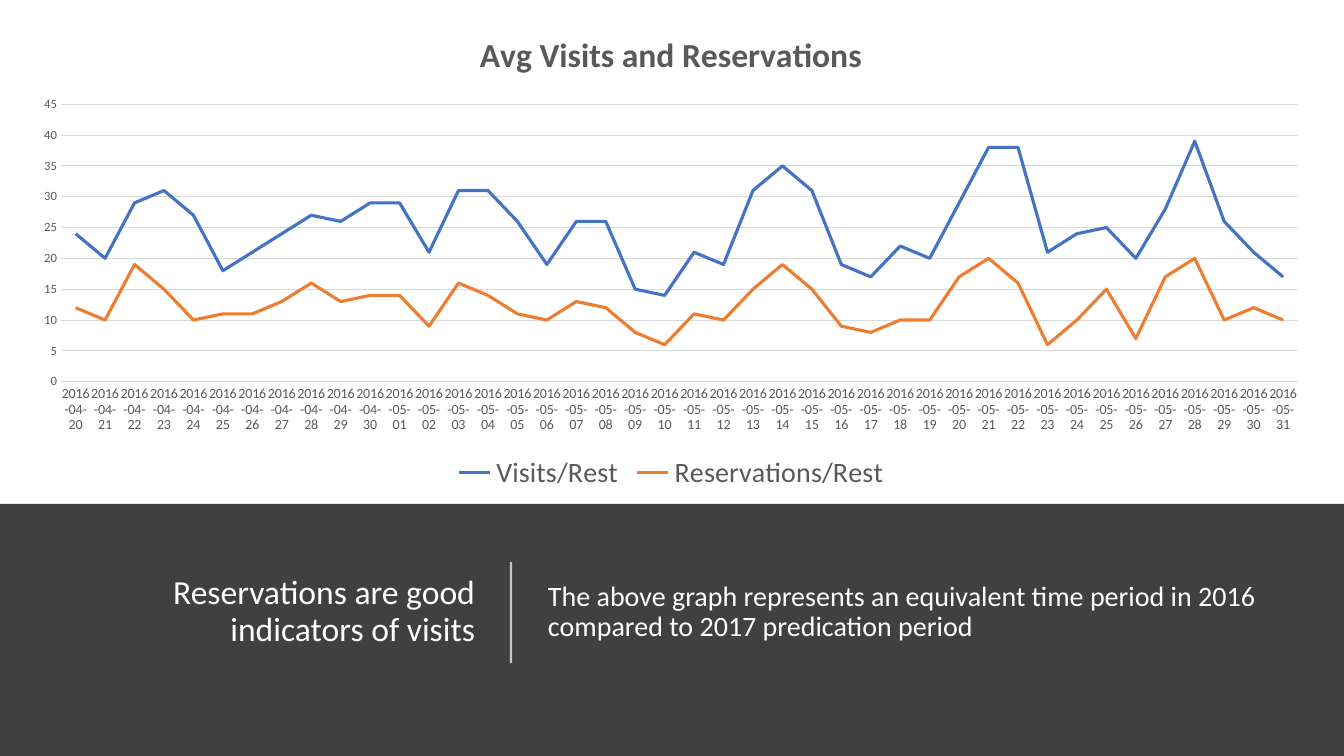
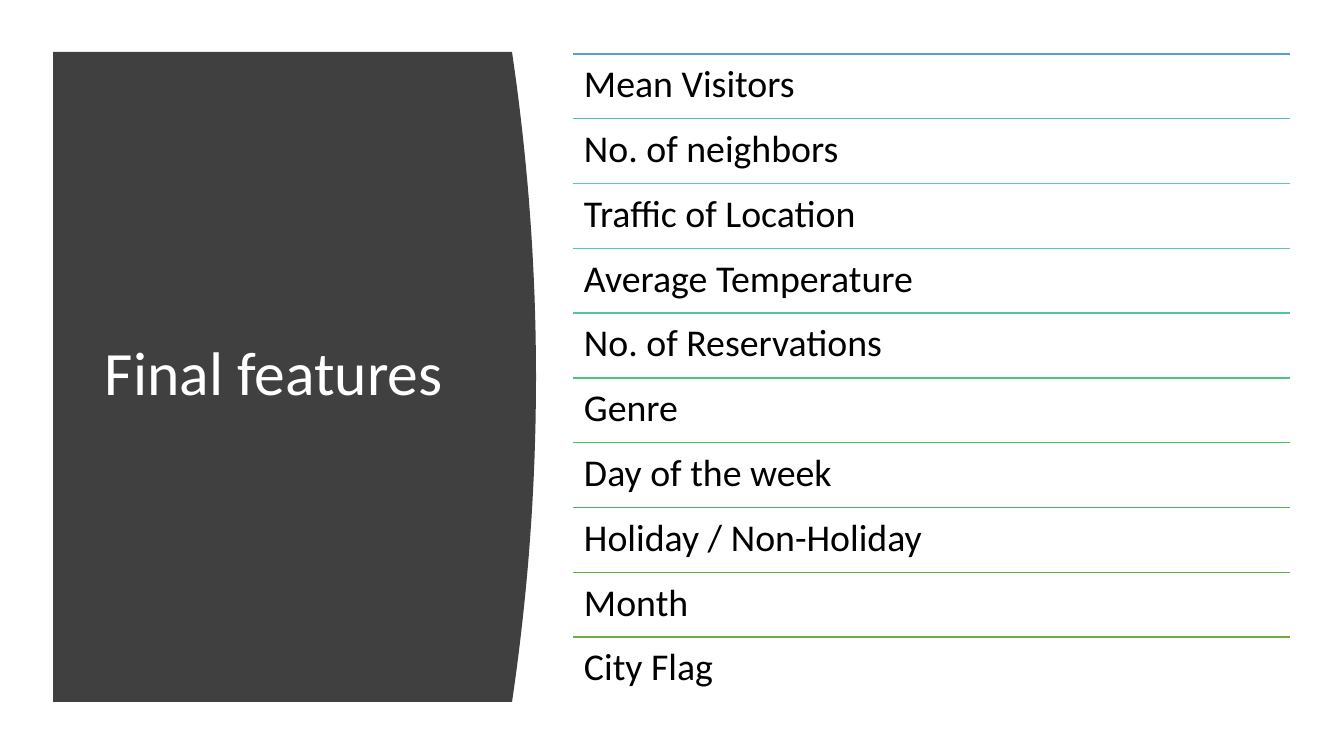
from pptx import Presentation
from pptx.chart.data import CategoryChartData
from pptx.dml.color import RGBColor
from pptx.enum.chart import XL_CHART_TYPE as ChartType, XL_LEGEND_POSITION as LegendPos, XL_TICK_MARK as Tick
from pptx.enum.shapes import MSO_CONNECTOR as Connector, MSO_SHAPE as Shape
from pptx.enum.text import MSO_ANCHOR as Anchor, PP_ALIGN as Align
from pptx.oxml.ns import qn
from pptx.util import Emu, Pt
from lxml.etree import SubElement

WIDTH, HEIGHT = 1344, 756
FONT = "Calibri"
WHITE, BLACK, CHARCOAL = "FFFFFF", "000000", "404040"
CHART_TEXT, CHART_LINE = "595959", "D9D9D9"

DATES = [f"2016-04-{day:02}" for day in range(20, 31)] + [f"2016-05-{day:02}" for day in range(1, 32)]
DAILY_AVERAGES = [
    ("Visits/Rest", "4472C4",
     [24, 20, 29, 31, 27, 18, 21, 24, 27, 26, 29, 29, 21, 31, 31, 26, 19, 26, 26, 15, 14,
      21, 19, 31, 35, 31, 19, 17, 22, 20, 29, 38, 38, 21, 24, 25, 20, 28, 39, 26, 21, 17]),
    ("Reservations/Rest", "ED7D31",
     [12, 10, 19, 15, 10, 11, 11, 13, 16, 13, 14, 14, 9, 16, 14, 11, 10, 13, 12, 8, 6,
      11, 10, 15, 19, 15, 9, 8, 10, 10, 17, 20, 16, 6, 10, 15, 7, 17, 20, 10, 12, 10]),
]
FEATURES = [
    ("Mean Visitors", "5B9BD5"),
    ("No. of neighbors", "58B1D2"),
    ("Traffic of Location", "55C7CE"),
    ("Average Temperature", "52CAB8"),
    ("No. of Reservations", "4FC79C"),
    ("Genre", "4CC37F"),
    ("Day of the week", "49BF64"),
    ("Holiday / Non-Holiday", "47BA49"),
    ("Month", "5CB447"),
    ("City Flag", "70AD47"),
]


def px(length):
    """Turn pixels into EMU."""
    return Emu(round(length * 914400 / 100.8))


def rgb(color):
    """Turn a hex string into a colour."""
    return RGBColor.from_string(color)


def style_font(font, size, color, bold=False):
    """Set face, size, colour and weight of a font."""
    font.name, font.size, font.bold = FONT, Pt(size), bold
    font.color.rgb = rgb(color)


def style_line(line, color, width):
    """Give a line a solid colour and a width in points."""
    line.color.rgb = rgb(color)
    line.width = Pt(width)


def fill_panel(panel):
    """Make a shape a flat charcoal panel."""
    panel.shadow.inherit = False
    panel.fill.solid()
    panel.fill.fore_color.rgb = rgb(CHARCOAL)
    panel.line.fill.background()


def add_text(slide, box, text, size, color=WHITE, align=Align.LEFT, anchor=Anchor.MIDDLE, inset=(10, 5)):
    """Add a wrapped one-paragraph text box."""
    frame = slide.shapes.add_textbox(*map(px, box)).text_frame
    frame.word_wrap = True
    frame.vertical_anchor = anchor
    frame.margin_left = frame.margin_right = px(inset[0])
    frame.margin_top = frame.margin_bottom = px(inset[1])
    frame.text = text
    paragraph = frame.paragraphs[0]
    paragraph.alignment = align
    paragraph.line_spacing = 0.9
    style_font(paragraph.runs[0].font, size, color)


def add_rule(slide, start, end, color, width, opacity=100):
    """Add a straight line without shadow."""
    rule = slide.shapes.add_connector(Connector.STRAIGHT, *map(px, start + end))
    style_line(rule.line, color, width)
    properties = rule._element.spPr
    SubElement(properties, qn("a:effectLst"))
    if opacity < 100:
        solid = next(properties.iter(qn("a:srgbClr")))
        SubElement(solid, qn("a:alpha")).set("val", str(opacity * 1000))


def add_curved_panel(slide, left, top, right, bottom, bulge, steps=40):
    """Add a panel whose right edge bows outwards."""
    edge = []
    for step in range(steps + 1):
        t = step / steps
        edge.append((px(right + bulge * 4 * t * (1 - t)), px(top + (bottom - top) * t)))
    outline = slide.shapes.build_freeform(px(left), px(top), scale=1.0)
    outline.add_line_segments(edge + [(px(left), px(bottom))], close=True)
    fill_panel(outline.convert_to_shape())


def add_line_chart(slide, box, title):
    """Add the chart of daily averages."""
    data = CategoryChartData()
    data.categories = DATES
    for name, _, values in DAILY_AVERAGES:
        data.add_series(name, values)
    chart = slide.shapes.add_chart(ChartType.LINE, *map(px, box), data).chart
    style_font(chart.font, 10, BLACK)

    chart.has_title = True
    heading = chart.chart_title.text_frame
    heading.text = title
    style_font(heading.paragraphs[0].runs[0].font, 24, CHART_TEXT, bold=True)
    chart.chart_title.include_in_layout = False

    chart.has_legend = True
    chart.legend.position = LegendPos.BOTTOM
    chart.legend.include_in_layout = False
    style_font(chart.legend.font, 20, CHART_TEXT)

    for axis, size in ((chart.category_axis, 10), (chart.value_axis, 9)):
        axis.major_tick_mark = axis.minor_tick_mark = Tick.NONE
        style_font(axis.tick_labels.font, size, CHART_TEXT)
        axis._element.txPr.find(qn("a:bodyPr")).set("rot", "-60000000")
    style_line(chart.category_axis.format.line, CHART_LINE, 0.75)
    chart.value_axis.format.line.fill.background()
    style_line(chart.value_axis.major_gridlines.format.line, CHART_LINE, 0.75)

    chart.plots[0].vary_by_categories = False
    for series, (_, color, _) in zip(chart.plots[0].series, DAILY_AVERAGES):
        series.smooth = False
        style_line(series.format.line, color, 2.25)


def build_reservations(slide):
    """Build the slide on visits and reservations."""
    fill_panel(slide.shapes.add_shape(Shape.RECTANGLE, *map(px, (0, 504, WIDTH, 252))))
    add_text(slide, (70, 539, 415, 146), "Reservations are good indicators of visits", 24, align=Align.RIGHT)
    add_rule(slide, (511, 663), (511, 562), WHITE, 1.5, opacity=70)
    add_text(slide, (538, 532, 736, 161),
             "The above graph represents an equivalent time period in 2016 compared to 2017 predication period", 20)
    add_line_chart(slide, (18, 11, 1306, 485), "Avg Visits and Reservations")


def build_features(slide):
    """Build the slide that lists the final features."""
    left, right, top, bottom = 573, 1290, 54, 702
    add_curved_panel(slide, 53, 52, 512, bottom, bulge=24)
    add_text(slide, (95, 112, 377, 528), "Final features", 44)
    row_height = (bottom - top) / len(FEATURES)
    for row, (feature, color) in enumerate(FEATURES):
        y = top + row * row_height
        add_rule(slide, (left, y), (right, y), color, 1)
        add_text(slide, (left, y, right - left, row_height), feature, 27, BLACK,
                 anchor=Anchor.TOP, inset=(11, 11))


def main():
    """Build and save the presentation."""
    deck = Presentation()
    deck.slide_width, deck.slide_height = px(WIDTH), px(HEIGHT)
    for build in (build_reservations, build_features):
        build(deck.slides.add_slide(deck.slide_layouts[6]))
    deck.save("out.pptx")


if __name__ == "__main__":
    main()
